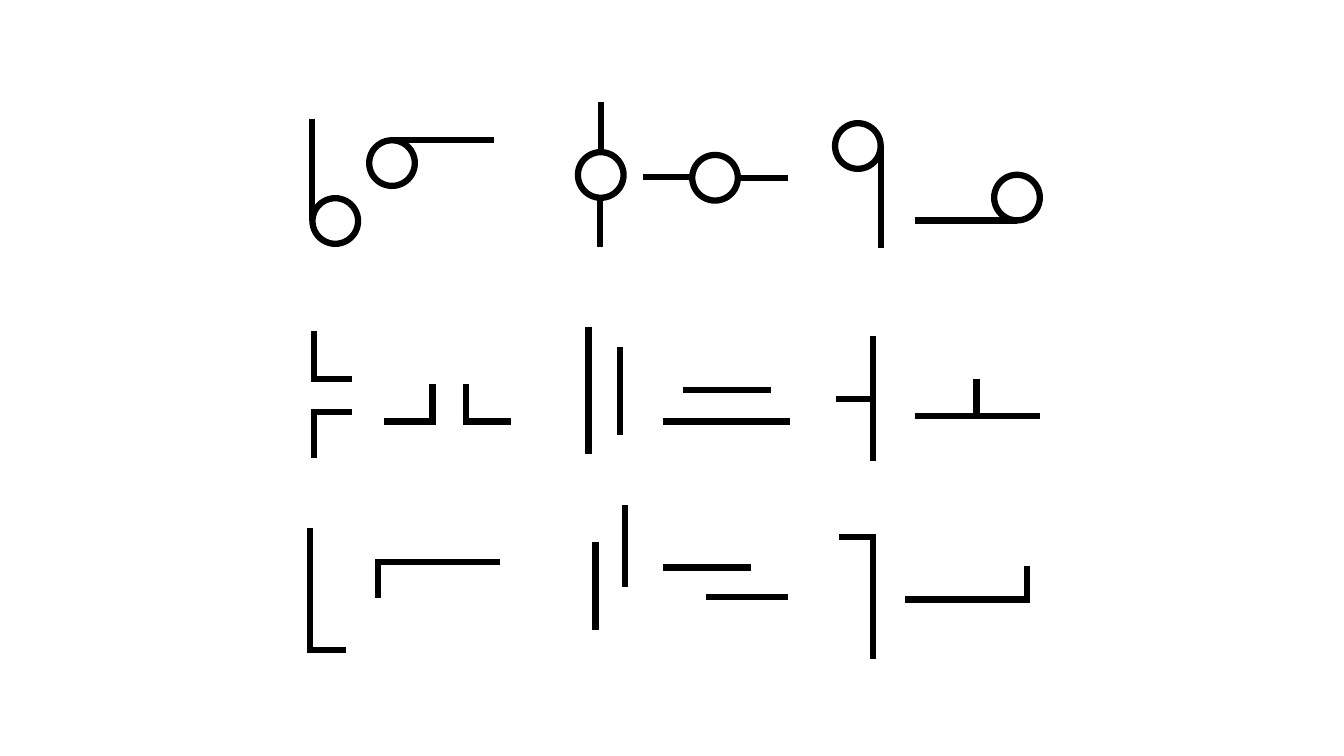
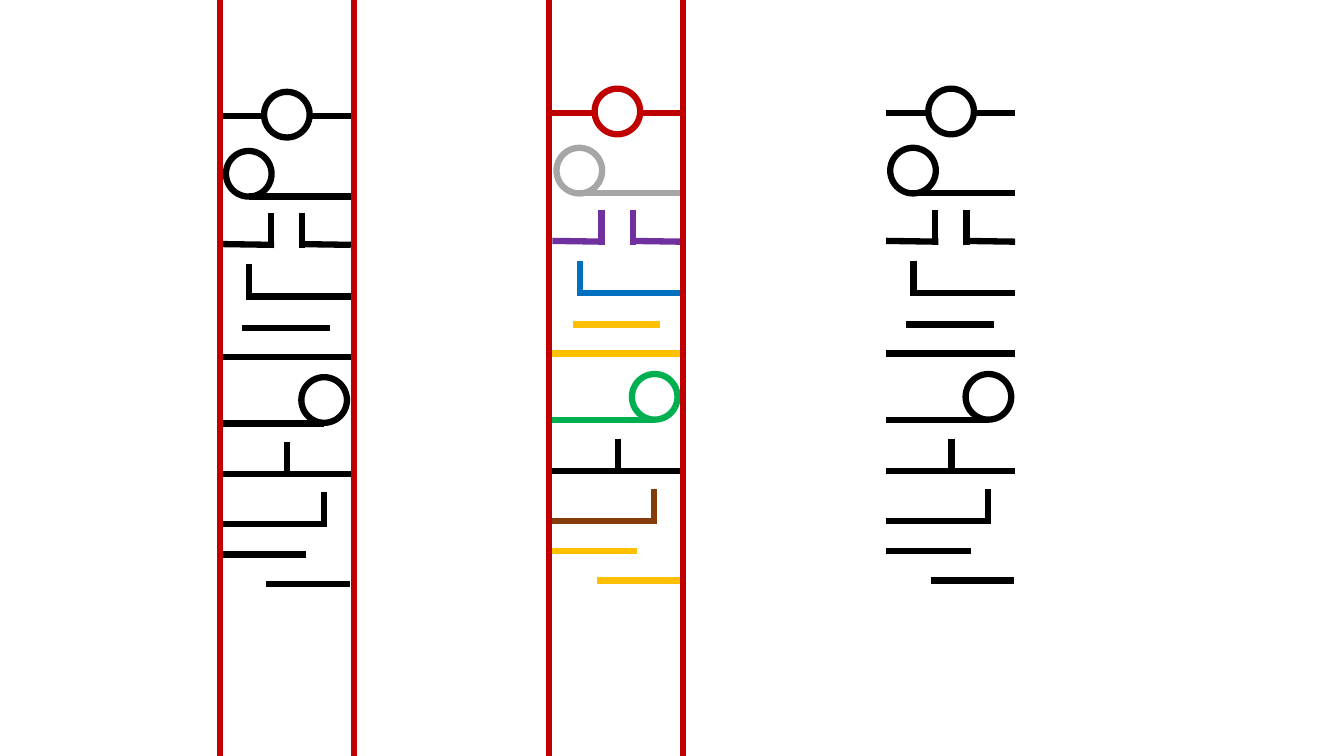
from dataclasses import dataclass

from lxml.etree import SubElement
from pptx import Presentation
from pptx.dml.color import RGBColor as Rgb
from pptx.enum.shapes import MSO_CONNECTOR as Link, MSO_SHAPE as Shape
from pptx.oxml.ns import qn
from pptx.util import Cm, Pt

WIDE, HIGH = 33.87, 19.05
RING = 1.15
WEIGHT = 4.5
HUES = {
    "black": "000000",
    "red": "C00000",
    "gray": "A6A6A6",
    "purple": "7030A0",
    "blue": "0070C0",
    "gold": "FFC000",
    "green": "00B050",
    "brown": "843C0B",
}

Point = tuple[float, float]
Bar = tuple[float, float, float, float]


@dataclass(frozen=True)
class Glyph:
    bars: tuple[Bar, ...]
    ring: Point | None = None
    hue: str = "black"


@dataclass(frozen=True)
class Pair:
    glyph: Glyph
    stand: Point
    lie: Point
    turn: int = 1


@dataclass(frozen=True)
class Column:
    left: float
    top: float = 0
    tinted: bool = False
    rails: tuple[float, ...] = ()


PAIRS = (
    Pair(Glyph(((0, 0, 0, 2.57),), (0.58, 2.57)), (7.87, 3), (12.45, 3.53)),
    Pair(Glyph(((0, 0, 0, 1.24), (-0.02, 2.42, -0.02, 3.66)), (0, 1.84)),
         (15.14, 2.57), (19.86, 4.48)),
    Pair(Glyph(((0, 0, 0, 2.57),), (-0.58, 0)), (22.2, 3.68), (25.63, 5.56)),
    Pair(Glyph(((0, 0, 0, 1.3), (-0.03, 1.22, 0.94, 1.22),
                (-0.03, 2.06, 0.94, 2.06), (0, 1.98, 0, 3.2))),
         (7.92, 8.33), (9.68, 10.62), -1),
    Pair(Glyph(((0, 0, 0, 3.2), (0.79, 0.51, 0.79, 2.72))),
         (14.83, 8.23), (16.71, 10.62), -1),
    Pair(Glyph(((0, 0, 0, 3.15), (0, 1.6, -0.94, 1.6))),
         (22, 8.46), (26.21, 10.49)),
    Pair(Glyph(((0, 0, 0, 3.15), (-0.08, 3.07, 0.89, 3.07))),
         (7.82, 13.31), (12.6, 14.17)),
    Pair(Glyph(((0, 0, 0, 2.21), (0.74, -0.94, 0.74, 1.12))),
         (15.01, 13.67), (18.92, 14.3)),
    Pair(Glyph(((0, 0, 0, 3.15), (0.08, 0.08, -0.86, 0.08))),
         (22, 13.46), (25.96, 15.11)),
)

STACK = (
    Glyph(((0, 2.92, 1.04, 2.92), (2.21, 2.92, 3.25, 2.92)), (1.64, 2.89), "red"),
    Glyph(((0.68, 4.95, 3.25, 4.95),), (0.68, 4.38), "gray"),
    Glyph(((0, 6.15, 1.32, 6.17), (1.24, 5.36, 1.24, 6.25),
           (2.03, 5.36, 2.03, 6.25), (1.96, 6.15, 3.25, 6.17)), hue="purple"),
    Glyph(((0.61, 7.47, 3.25, 7.47), (0.69, 6.65, 0.69, 7.54)), hue="blue"),
    Glyph(((0.51, 8.26, 2.72, 8.26), (0, 8.99, 3.25, 8.99)), hue="gold"),
    Glyph(((0, 10.67, 2.58, 10.67),), (2.58, 10.08), "green"),
    Glyph(((0, 11.94, 3.25, 11.94), (1.65, 11.13, 1.65, 12.01))),
    Glyph(((0, 13.21, 2.64, 13.21), (2.57, 12.4, 2.57, 13.28)), hue="brown"),
    Glyph(((0, 13.97, 2.13, 13.97), (1.12, 14.71, 3.23, 14.71)), hue="gold"),
)

COLUMNS = (
    Column(5.59, rails=(-0.05, 3.33)),
    Column(13.92, -0.08, True, (-0.08, 3.3)),
    Column(22.33, -0.08),
)


def paint(line, hue: str) -> None:
    line.color.rgb = Rgb.from_string(HUES[hue])
    line.width = Pt(WEIGHT)


def add_bar(shapes, bar: Bar, hue: str) -> None:
    link = shapes.add_connector(Link.STRAIGHT, *(Cm(end) for end in bar))
    paint(link.line, hue)
    SubElement(link._element.spPr, qn("a:effectLst"))


def add_ring(shapes, mid: Point, hue: str) -> None:
    left, top = (Cm(axis - RING / 2) for axis in mid)
    ring = shapes.add_shape(Shape.OVAL, left, top, Cm(RING), Cm(RING))
    ring.shadow.inherit = False
    ring.fill.background()
    paint(ring.line, hue)


def add_glyph(slide, glyph: Glyph, start: Point, hue: str = "black",
              turn: int = 0) -> None:
    def place(x: float, y: float) -> Point:
        if turn:
            x, y = -turn * y, turn * x
        return start[0] + x, start[1] + y

    group = slide.shapes.add_group_shape()
    if glyph.ring:
        add_ring(group.shapes, place(*glyph.ring), hue)
    for bar in glyph.bars:
        add_bar(group.shapes, place(*bar[:2]) + place(*bar[2:]), hue)


def draw_pairs(slide) -> None:
    for pair in PAIRS:
        add_glyph(slide, pair.glyph, pair.stand)
        add_glyph(slide, pair.glyph, pair.lie, turn=pair.turn)


def draw_stacks(slide) -> None:
    for col in COLUMNS:
        for glyph in STACK:
            hue = glyph.hue if col.tinted else "black"
            add_glyph(slide, glyph, (col.left, col.top), hue)
        for rail in col.rails:
            x = col.left + rail
            add_bar(slide.shapes, (x, 0, x, HIGH), "red")


def main() -> None:
    deck = Presentation()
    deck.slide_width, deck.slide_height = Cm(WIDE), Cm(HIGH)
    for draw in (draw_pairs, draw_stacks):
        draw(deck.slides.add_slide(deck.slide_layouts[6]))
    deck.save("out.pptx")


if __name__ == "__main__":
    main()
